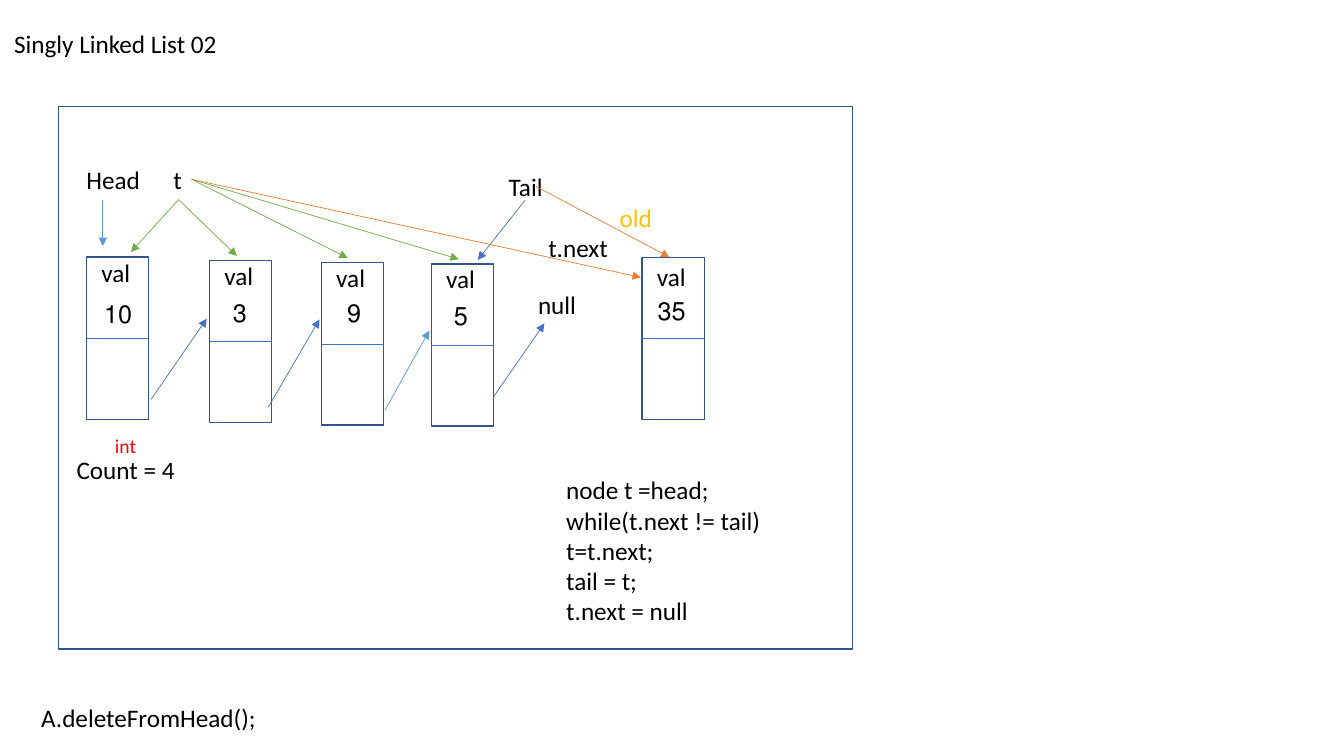
"""Build a slide that explains deleting the last node of a singly linked list."""
from dataclasses import dataclass

from lxml import etree
from pptx import Presentation
from pptx.dml.color import RGBColor
from pptx.enum.shapes import MSO_CONNECTOR, MSO_SHAPE
from pptx.enum.text import MSO_ANCHOR, MSO_AUTO_SIZE, PP_ALIGN
from pptx.oxml.ns import qn
from pptx.shapes.autoshape import Shape
from pptx.shapes.connector import Connector
from pptx.slide import Slide
from pptx.util import Cm, Pt

RECTANGLE = MSO_SHAPE.RECTANGLE
STRAIGHT = MSO_CONNECTOR.STRAIGHT
TOP = MSO_ANCHOR.TOP
GROW = MSO_AUTO_SIZE.SHAPE_TO_FIT_TEXT
LEFT, RIGHT = PP_ALIGN.LEFT, PP_ALIGN.RIGHT
LEFT_SIDE, RIGHT_SIDE = 1, 3

TITLE_ONLY_LAYOUT = 5
FONT = "Calibri"
BLACK, WHITE, RED, GOLD = "000000", "FFFFFF", "FF0000", "FFC000"
OUTLINE, BLUE, LIGHT_BLUE = "325491", "4472C4", "5B9BD5"
GREEN, ORANGE = "70AD47", "ED7D31"
NODE_WIDTH, NODE_HEIGHT = 1.57, 4.09
LINE_HEIGHT = 1.02

Point = tuple[float, float]


@dataclass(frozen=True)
class Label:
    """Text with its place in centimetres."""

    text: str
    left: float
    top: float
    width: float
    height: float = LINE_HEIGHT
    right_to_left: bool = False
    size: int = 18
    color: str = BLACK


@dataclass(frozen=True)
class Node:
    """List node with the place of its value."""

    value: str
    left: float
    top: float
    value_left: float
    value_top: float
    value_width: float
    caption_rise: float = 0.13


@dataclass(frozen=True)
class Arrow:
    """Pointer from one point to another in centimetres."""

    start: Point
    end: Point
    color: str = BLUE


TITLE = Label("Singly Linked List 02", 0.1, 0.58, 6.81)

LABELS = [
    Label("A.deleteFromHead();", 0.79, 17.58, 6.81),
    Label("Tail", 12.57, 4.19, 1.45),
    Label("Count = 4", 1.68, 11.33, 3.84),
    Label("int", 2.11, 10.8, 1.57, 0.86, True, 14, RED),
    Label("null", 13.31, 7.16, 1.83),
    Label("Head", 1.93, 4.01, 2.74),
    Label("t", 2.87, 4.01, 1.96, right_to_left=True),
    Label("node t =head;\nwhile(t.next != tail)\nt=t.next;\ntail = t;\nt.next = null",
          14.02, 11.84, 6.05, 4.11),
    Label("t.next", 13.06, 5.72, 2.51, right_to_left=True),
    Label("old", 15.11, 4.98, 1.57, right_to_left=True, color=GOLD),
]

NODES = [
    Node("10", 2.18, 6.48, 2.31, 7.39, 1.27),
    Node("3", 5.28, 6.56, 5.89, 7.37, 0.58),
    Node("9", 8.1, 6.62, 7.8, 7.37, 1.55),
    Node("5", 10.87, 6.65, 11.46, 7.44, 0.58),
    Node("35", 16.18, 6.49, 16.26, 7.32, 1.27, 0.03),
]

T_BELOW: Point = (4.5, 5.03)
T_BESIDE: Point = (4.83, 4.52)

ARROWS = [
    Arrow((2.59, 5.05), (2.59, 6.2), LIGHT_BLUE),
    Arrow((3.81, 10.06), (5.21, 8.03)),
    Arrow((6.76, 10.26), (8.05, 8.05)),
    Arrow((9.7, 10.34), (10.82, 8.33), LIGHT_BLUE),
    Arrow((12.45, 9.98), (13.72, 8.15)),
    Arrow((13.23, 5.05), (12.04, 6.55)),
    Arrow(T_BELOW, (3.3, 6.35), GREEN),
    Arrow(T_BELOW, (5.97, 6.45), GREEN),
    Arrow(T_BESIDE, (8.76, 6.5), GREEN),
    Arrow(T_BESIDE, (11.56, 6.53), GREEN),
    Arrow(T_BESIDE, (16.15, 6.99), ORANGE),
    Arrow((13.51, 4.7), (16.87, 6.48), ORANGE),
]


def rgb(color: str) -> RGBColor:
    """Turn a hex string into a colour."""
    return RGBColor.from_string(color)


def write_label(shape: Shape, label: Label) -> None:
    """Place a text shape, then fill and format it."""
    shape.left, shape.top = Cm(label.left), Cm(label.top)
    shape.width, shape.height = Cm(label.width), Cm(label.height)
    text_frame = shape.text_frame
    text_frame.text = label.text
    text_frame.word_wrap = True
    text_frame.auto_size = GROW
    text_frame.vertical_anchor = TOP
    for paragraph in text_frame.paragraphs:
        paragraph.alignment = RIGHT if label.right_to_left else LEFT
        if label.right_to_left:
            paragraph._p.get_or_add_pPr().set("rtl", "1")
        for run in paragraph.runs:
            run.font.name = FONT
            run.font.size = Pt(label.size)
            run.font.color.rgb = rgb(label.color)


def add_label(slide: Slide, label: Label) -> None:
    """Add a text box for a label."""
    write_label(slide.shapes.add_textbox(0, 0, 0, 0), label)


def add_rectangle(slide: Slide, left: float, top: float, width: float, height: float) -> Shape:
    """Add an outlined rectangle without a fill."""
    shape = slide.shapes.add_shape(RECTANGLE, Cm(left), Cm(top), Cm(width), Cm(height))
    shape.shadow.inherit = False
    shape.fill.background()
    shape.line.color.rgb = rgb(OUTLINE)
    shape.line.width = Pt(1)
    return shape


def add_line(slide: Slide, start: Point, end: Point, color: str) -> Connector:
    """Add a thin straight connector without a shadow."""
    connector = slide.shapes.add_connector(
        STRAIGHT, Cm(start[0]), Cm(start[1]), Cm(end[0]), Cm(end[1]))
    connector.line.color.rgb = rgb(color)
    connector.line.width = Pt(0.5)
    etree.SubElement(connector._element.spPr, qn("a:effectLst"))
    return connector


def add_arrow(slide: Slide, arrow: Arrow) -> None:
    """Add a connector that ends in a triangle."""
    connector = add_line(slide, arrow.start, arrow.end, arrow.color)
    etree.SubElement(connector.line._get_or_add_ln(), qn("a:tailEnd"), type="triangle")


def add_node(slide: Slide, node: Node) -> None:
    """Add a node box with its divider, caption and value."""
    box = add_rectangle(slide, node.left, node.top, NODE_WIDTH, NODE_HEIGHT)
    box.fill.solid()
    box.fill.fore_color.rgb = rgb(WHITE)
    middle = node.top + NODE_HEIGHT / 2
    divider = add_line(slide, (node.left, middle), (node.left + NODE_WIDTH, middle), BLUE)
    divider.begin_connect(box, LEFT_SIDE)
    divider.end_connect(box, RIGHT_SIDE)
    add_label(slide, Label("val", node.left - 0.02, node.top - node.caption_rise, 1.37,
                           right_to_left=True))
    add_label(slide, Label(node.value, node.value_left, node.value_top, node.value_width,
                           right_to_left=True))


def main() -> None:
    """Build and save the presentation."""
    presentation = Presentation()
    presentation.slide_width, presentation.slide_height = Cm(33.87), Cm(19.05)
    slide = presentation.slides.add_slide(presentation.slide_layouts[TITLE_ONLY_LAYOUT])
    write_label(slide.shapes.title, TITLE)
    add_rectangle(slide, 1.47, 2.69, 20.02, 13.67)
    for node in NODES:
        add_node(slide, node)
    for label in LABELS:
        add_label(slide, label)
    for arrow in ARROWS:
        add_arrow(slide, arrow)
    presentation.save("out.pptx")


if __name__ == "__main__":
    main()
